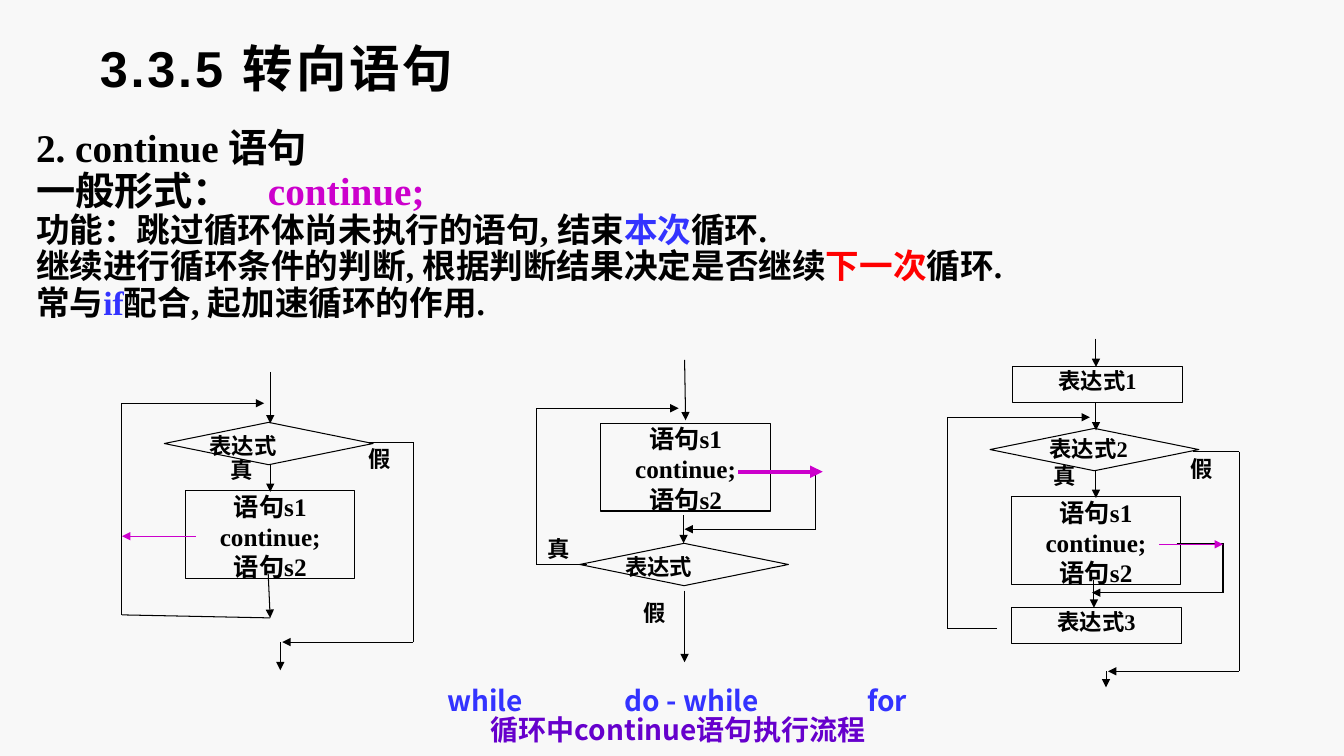
from pptx import Presentation
from pptx.dml.color import RGBColor as RGB
from pptx.enum.shapes import MSO_CONNECTOR as Link, MSO_SHAPE as Kind
from pptx.enum.text import MSO_ANCHOR as Anchor, PP_ALIGN as Align
from pptx.oxml.ns import qn
from pptx.util import Inches, Pt
from lxml.etree import SubElement as Sub

BLACK = RGB(0x00, 0x00, 0x00)
BLUE = RGB(0x33, 0x33, 0xFF)
RED = RGB(0xFF, 0x00, 0x00)
PINK = RGB(0xCC, 0x00, 0xCC)
PURPLE = RGB(0x66, 0x00, 0xCC)
PAPER = RGB(0xF8, 0xF8, 0xF8)
SERIF, SANS, HAN = "Times New Roman", "Arial", "Noto Sans CJK SC"
BLOCK = ("语句s1", "continue;", "语句s2")


def write(frame, *runs, size=16, color=BLACK, font=SERIF, align=Align.LEFT,
          line=1.0, gap=0, tabs=(), track=0):
    """Add a paragraph; a run is a string or a (string, colour) pair."""
    para = frame.paragraphs[0]
    if para.runs:
        para = frame.add_paragraph()
        para.space_before = Pt(gap)
    if tabs:
        stops = Sub(para._p.get_or_add_pPr(), qn("a:tabLst"))
        for spot, kind in tabs:
            Sub(stops, qn("a:tab"), pos=str(Inches(spot)), algn=kind)
    para.alignment, para.line_spacing = align, line
    for item in runs:
        words, tint = (item, color) if isinstance(item, str) else item
        run = para.add_run()
        run.text = words
        face = run.font
        face.size, face.bold, face.name = Pt(size), True, font
        face.color.rgb = tint
        props = run._r.get_or_add_rPr()
        Sub(props, qn("a:ea"), typeface=HAN)
        if track:
            props.set("spc", str(track * 100))


def clear(frame, pad=(0, 0)):
    frame.word_wrap = True
    frame.margin_left = frame.margin_right = Inches(pad[0])
    frame.margin_top = frame.margin_bottom = Inches(pad[1])
    return frame


def area(slide, x, y, w, h, pad=(0, 0)):
    box = slide.shapes.add_textbox(*map(Inches, (x, y, w, h)))
    return clear(box.text_frame, pad)


class Flow:
    """A flow chart whose parts are placed from its top left corner."""

    def __init__(self, slide, x, y):
        self.slide, self.x, self.y = slide, x, y

    def shape(self, kind, x, y, w, h):
        part = self.slide.shapes.add_shape(
            kind, *map(Inches, (self.x + x, self.y + y, w, h)))
        part.shadow.inherit = False
        part.fill.background()
        part.line.color.rgb, part.line.width = BLACK, Pt(0.75)
        return part

    def note(self, words, x, y, w=0.28, line=0.88):
        frame = area(self.slide, self.x + x, self.y + y, w, 0.28)
        write(frame, words, line=line)

    def box(self, x, y, rows, w=1.68, h=0.87, size=18):
        part = self.shape(Kind.RECTANGLE, x, y, w, h)
        frame = clear(part.text_frame)
        frame.vertical_anchor = Anchor.TOP
        for row in rows:
            write(frame, row, size=size, align=Align.CENTER)

    def test(self, x, y, words, dx=0.45, dy=0.1, line=1.0):
        self.shape(Kind.FLOWCHART_DECISION, x, y, 2.07, 0.42)
        self.note(words, x + dx, y + dy, 1.13, line)

    def wire(self, *dots, color=BLACK, width=0.75):
        """Join the dots with straight lines, the last one an arrow."""
        for (a, b), (c, d) in zip(dots, dots[1:]):
            link = self.slide.shapes.add_connector(
                Link.STRAIGHT, *map(Inches, (self.x + a, self.y + b,
                                             self.x + c, self.y + d)))
            link.line.color.rgb, link.line.width = color, Pt(width)
            Sub(link._element.spPr, qn("a:effectLst"))
        Sub(link.line._get_or_add_ln(), qn("a:tailEnd"), type="triangle")


def head(slide):
    title = slide.shapes.title
    title.left, title.top, title.width, title.height = map(
        Inches, (0.89, 0.33, 11.33, 0.67))
    frame = clear(title.text_frame, (0.1, 0.05))
    frame.vertical_anchor = Anchor.MIDDLE
    write(frame, "3.3.5 转向语句", size=36, font=SANS, track=2)


def body(slide, x, y):
    frame = area(slide, x, y, 12.97, 2.3, (0.1, 0.05))
    write(frame, "2. continue 语句", size=28, line=0.9)
    write(frame, "一般形式：\t", ("continue;", PINK), size=28, line=0.9,
          tabs=[(2.3, "l")])
    for runs in (
            ("功能：跳过循环体尚未执行的语句, 结束", ("本次", BLUE), "循环."),
            ("继续进行循环条件的判断, 根据判断结果决定是否继续",
             ("下一次", RED), "循环."),
            ("常与", ("if", BLUE), "配合, 起加速循环的作用.")):
        write(frame, *runs, size=24, line=0.9)


def loop(slide, x, y):
    """The while chart."""
    flow = Flow(slide, x, y)
    flow.test(0.42, 0.5, "表达式")
    flow.box(0.63, 1.18, BLOCK)
    flow.note("真", 1.08, 0.87)
    flow.note("假", 2.44, 0.76)
    flow.wire((1.47, 0), (1.47, 0.51))
    flow.wire((1.47, 0.91), (1.47, 1.19))
    flow.wire((1.45, 2), (1.47, 2.44))
    flow.wire((1.47, 2.44), (0, 2.41), (0, 0.31), (1.41, 0.31))
    flow.wire((2.43, 0.7), (2.89, 0.7), (2.89, 2.68), (1.59, 2.68))
    flow.wire((1.57, 2.68), (1.57, 2.96))
    flow.wire((0.73, 1.63), (0, 1.63), color=PINK)


def until(slide, x, y):
    """The do - while chart."""
    flow = Flow(slide, x, y)
    flow.box(0.64, 0.63, BLOCK)
    flow.test(0.43, 1.82, "表达式")
    flow.note("真", 0.11, 1.74, line=1.0)
    flow.note("假", 1.06, 2.37, line=1.0)
    flow.wire((1.47, 0), (1.48, 0.6))
    flow.wire((1.46, 1.54), (1.46, 1.82))
    flow.wire((1.47, 2.29), (1.47, 3))
    flow.wire((0.5, 2.03), (0, 2.03), (0, 0.48), (1.41, 0.48))
    flow.wire((2.31, 1.12), (2.77, 1.12), (2.77, 1.68), (1.47, 1.68))
    flow.wire((2, 1.11), (2.84, 1.11), color=PINK, width=3)


def count(slide, x, y):
    """The for chart."""
    flow = Flow(slide, x, y)
    for left, top, words in ((0.64, 0.28, "表达式1"), (0.63, 2.67, "表达式3")):
        flow.box(left, top, [words], w=1.69, h=0.35, size=16)
    flow.test(0.42, 0.89, "表达式2", dx=0.59, line=0.88)
    flow.box(0.63, 1.57, BLOCK)
    flow.note("真", 1.05, 1.26)
    flow.note("假", 2.41, 1.19)
    for top in (0, 0.63, 1.3):
        flow.wire((1.47, top), (1.47, top + 0.28))
    flow.wire((1.45, 2.39), (1.45, 2.67))
    flow.wire((0.49, 2.88), (0, 2.88), (0, 0.78), (1.41, 0.78))
    flow.wire((2.43, 1.12), (2.89, 1.12), (2.89, 3.3), (1.59, 3.3))
    flow.wire((1.57, 3.3), (1.57, 3.46))
    flow.wire((2.27, 2.03), (2.73, 2.03), (2.73, 2.52), (1.43, 2.52))
    flow.wire((2.1, 2.04), (2.73, 2.04), color=PINK)


def foot(slide, x, y):
    frame = area(slide, x, y, 11.03, 0.41)
    stops = [(spot, "ctr") for spot in (3.6, 5.65, 7.59)]
    write(frame, "\twhile\tdo - while\tfor", size=20, color=BLUE, font=HAN,
          line=0.88, tabs=stops)
    write(frame, "循环中continue语句执行流程", size=20, color=PURPLE, font=HAN,
          align=Align.CENTER, line=0.88)


def main():
    deck = Presentation()
    deck.slide_width, deck.slide_height = Inches(13.33), Inches(7.5)
    slide = deck.slides.add_slide(deck.slide_layouts[5])
    slide.background.fill.solid()
    slide.background.fill.fore_color.rgb = PAPER
    head(slide)
    body(slide, 0.26, 1.23)
    until(slide, 5.32, 3.57)
    loop(slide, 1.21, 3.69)
    count(slide, 9.4, 3.36)
    foot(slide, 1.21, 6.82)
    deck.save("out.pptx")


if __name__ == "__main__":
    main()
